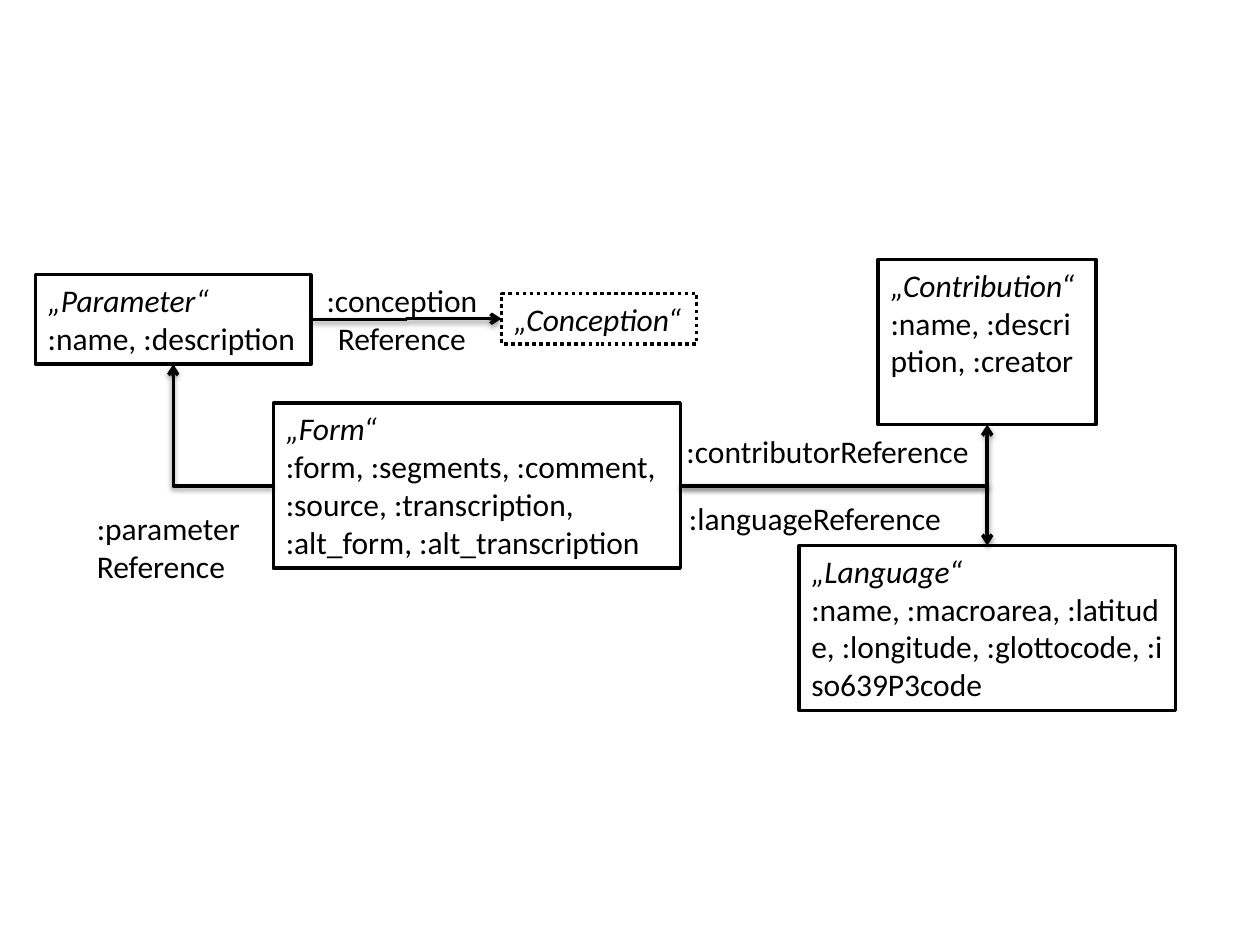
from dataclasses import dataclass

from lxml.etree import SubElement
from pptx import Presentation
from pptx.dml.color import RGBColor
from pptx.enum.dml import MSO_LINE
from pptx.enum.shapes import MSO_CONNECTOR
from pptx.enum.text import MSO_ANCHOR, MSO_AUTO_SIZE, PP_ALIGN
from pptx.oxml.ns import qn
from pptx.util import Inches, Pt

COLORS = {"ink": "000000", "paper": "FFFFFF"}
FONT = "Calibri"
LINE_WIDTH = Pt(2)


@dataclass
class Label:
    left: float
    top: float
    width: float
    height: float
    lines: list[str]
    align: PP_ALIGN = PP_ALIGN.LEFT


@dataclass
class Entity(Label):
    wrap: bool = False
    dotted: bool = False


@dataclass
class Link:
    start: tuple[float, float]
    end: tuple[float, float]
    preset: str = "bentConnector2"


CONTRIBUTION = Entity(6.97, 2.06, 1.73, 1.31, [
    "„Contribution“", ":name,\u00a0:description,\u00a0:creator"], wrap=True)
FORM = Entity(2.17, 3.2, 3.23, 1.31, [
    "„Form“", ":form, :segments, :comment, ",
    ":source, :transcription,", ":alt_form, :alt_transcription"])
LANGUAGE = Entity(6.34, 4.33, 2.99, 1.31, [
    "„Language“",
    ":name,\u00a0:macroarea,\u00a0:latitude,\u00a0:longitude,"
    "\u00a0:glottocode,\u00a0:iso639P3code"], wrap=True)
PARAMETER = Entity(0.28, 2.18, 2.19, 0.71, ["„Parameter“", ":name, :description"])
CONCEPTION = Entity(3.98, 2.33, 1.55, 0.4, ["„Conception“"], dotted=True)

ENTITIES = [CONTRIBUTION, FORM, LANGUAGE, PARAMETER, CONCEPTION]
LABELS = [
    Label(5.37, 3.91, 2.23, 0.4, [":languageReference"]),
    Label(0.67, 3.99, 1.35, 0.71, [":parameter", "Reference"]),
    Label(5.35, 3.38, 2.47, 0.4, [":contributorReference"]),
    Label(2.48, 2.18, 1.42, 0.71, [":conception", "Reference"], PP_ALIGN.CENTER),
]


def left(e: Entity) -> tuple[float, float]:
    return e.left, e.top + e.height / 2


def right(e: Entity) -> tuple[float, float]:
    return e.left + e.width, e.top + e.height / 2


def top(e: Entity) -> tuple[float, float]:
    return e.left + e.width / 2, e.top


def bottom(e: Entity) -> tuple[float, float]:
    return e.left + e.width / 2, e.top + e.height


LINKS = [
    Link(right(FORM), bottom(CONTRIBUTION)),
    Link(right(FORM), top(LANGUAGE)),
    Link(left(FORM), bottom(PARAMETER)),
    Link(right(PARAMETER), left(CONCEPTION), "bentConnector3"),
]


def color(name: str) -> RGBColor:
    return RGBColor.from_string(COLORS[name])


def add_text(s, label: Label, wrap: bool = False, title: bool = False):
    sp = s.shapes.add_textbox(*map(Inches, (
        label.left, label.top, label.width, label.height)))
    tf = sp.text_frame
    tf.text = "\n".join(label.lines)
    tf.word_wrap = wrap
    tf.auto_size = MSO_AUTO_SIZE.SHAPE_TO_FIT_TEXT
    tf.vertical_anchor = MSO_ANCHOR.TOP
    for i, p in enumerate(tf.paragraphs):
        p.alignment = label.align
        for r in p.runs:
            r.font.name = FONT
            r.font.size = Pt(18)
            r.font.color.rgb = color("ink")
            r.font.italic = title and i == 0
    return sp


def add_entity(s, entity: Entity) -> None:
    sp = add_text(s, entity, entity.wrap, title=True)
    sp.fill.solid()
    sp.fill.fore_color.rgb = color("paper")
    sp.line.color.rgb = color("ink")
    sp.line.width = LINE_WIDTH
    if entity.dotted:
        sp.line.dash_style = MSO_LINE.ROUND_DOT


def add_link(s, link: Link) -> None:
    sp = s.shapes.add_connector(
        MSO_CONNECTOR.ELBOW, *map(Inches, (*link.start, *link.end)))
    sp.line.color.rgb = color("ink")
    sp.line.width = LINE_WIDTH
    props = sp._element.spPr
    props.find(qn("a:prstGeom")).set("prst", link.preset)
    xfrm = props.find(qn("a:xfrm"))
    if xfrm.get("flipH") and xfrm.get("flipV"):
        del xfrm.attrib["flipH"], xfrm.attrib["flipV"]
        xfrm.set("rot", "10800000")
    SubElement(props.find(qn("a:ln")), qn("a:tailEnd"), type="arrow")
    effects = SubElement(props, qn("a:effectLst"))
    shadow = SubElement(effects, qn("a:outerShdw"), blurRad=str(Pt(3.1)),
                        dist=str(Pt(1.6)), dir="5400000", rotWithShape="0")
    tint = SubElement(shadow, qn("a:srgbClr"), val=COLORS["ink"])
    SubElement(tint, qn("a:alpha"), val="38000")


prs = Presentation()
prs.slide_width, prs.slide_height = Inches(10), Inches(7.5)
s = prs.slides.add_slide(prs.slide_layouts[6])
for entity in ENTITIES:
    add_entity(s, entity)
for link in LINKS:
    add_link(s, link)
for label in LABELS:
    add_text(s, label)
prs.save("out.pptx")
